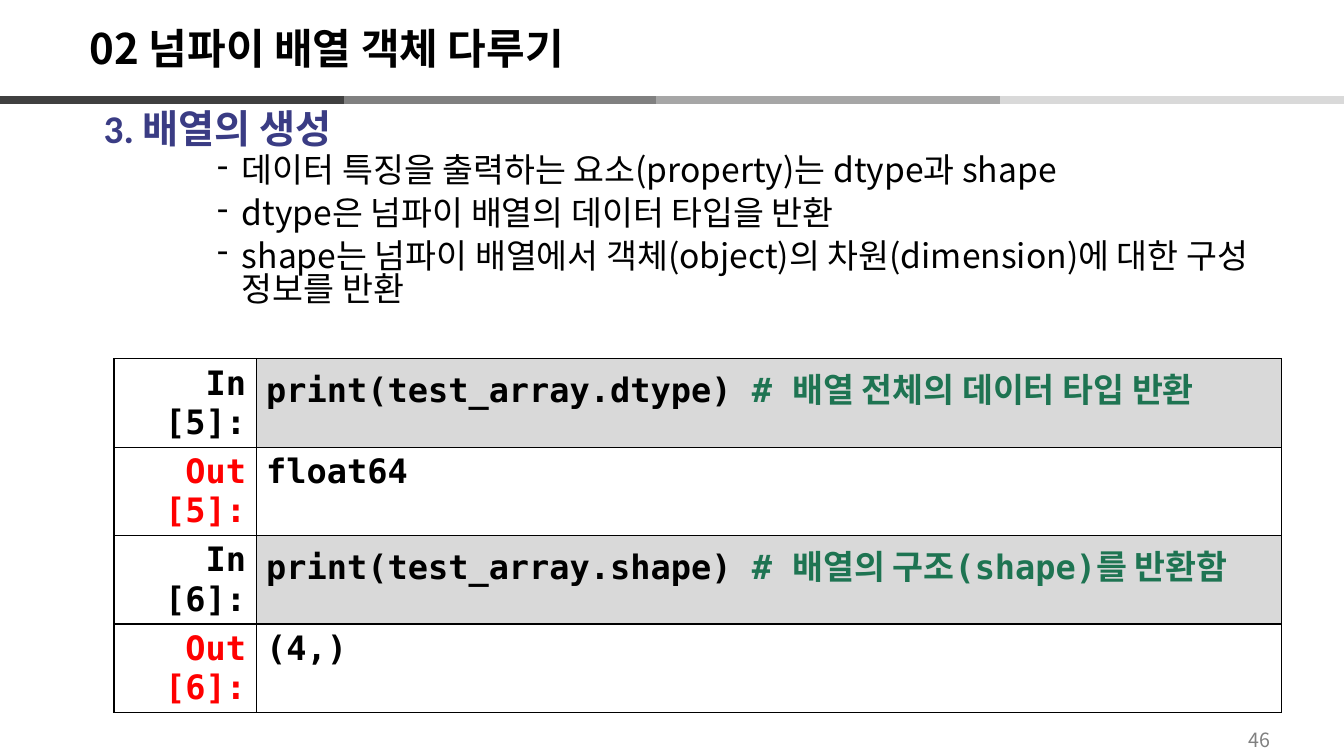
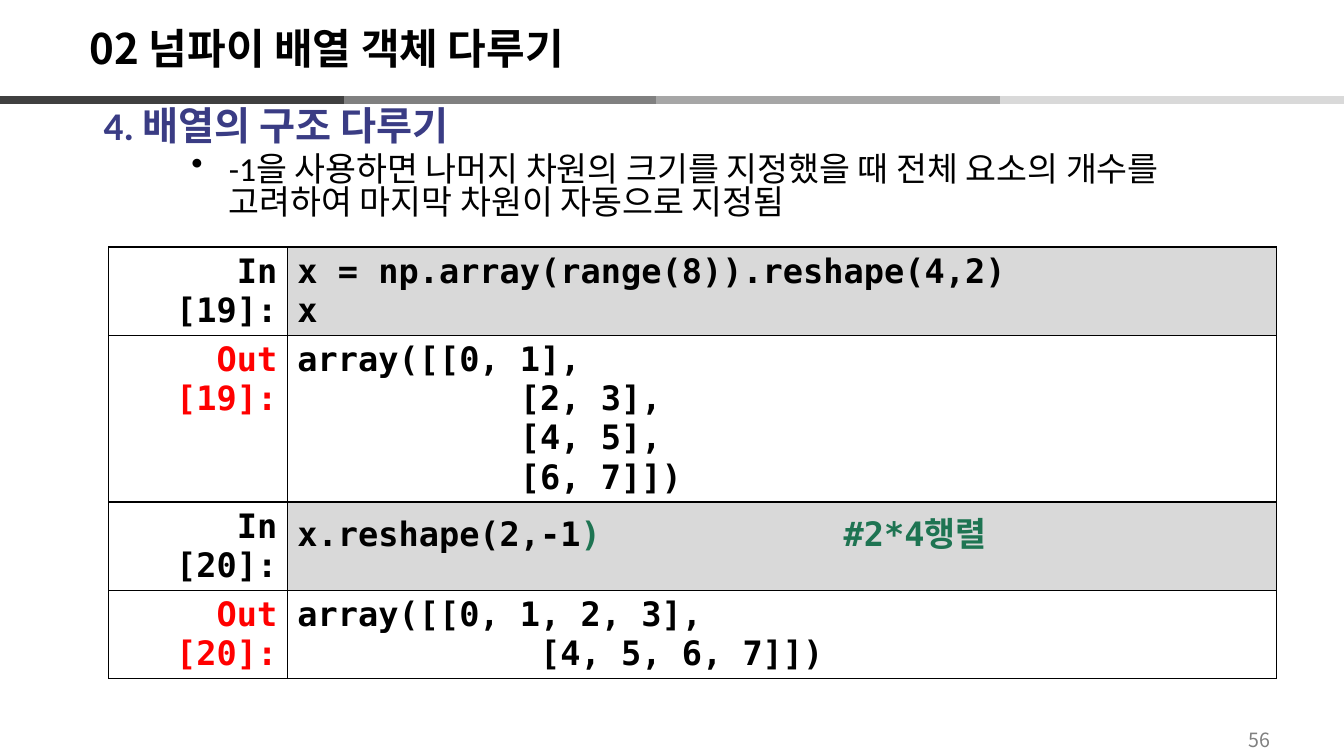
"""Build two lecture slides on array objects with notebook-style code tables."""
from lxml import etree
from pptx import Presentation
from pptx.dml.color import RGBColor
from pptx.enum.shapes import MSO_CONNECTOR
from pptx.enum.text import MSO_ANCHOR, MSO_AUTO_SIZE, PP_ALIGN
from pptx.oxml.ns import qn
from pptx.util import Inches, Pt

WIDTH, HEIGHT = Inches(13.33), Inches(7.5)
TITLE_ONLY = 5
LEFT, RIGHT, CENTER = PP_ALIGN.LEFT, PP_ALIGN.RIGHT, PP_ALIGN.CENTER
TOP, MIDDLE = MSO_ANCHOR.TOP, MSO_ANCHOR.MIDDLE
STRAIGHT, NO_FIT = MSO_CONNECTOR.STRAIGHT, MSO_AUTO_SIZE.NONE

KOREAN, LATIN, MONO = "Noto Sans CJK KR", "Calibri", "DejaVu Sans Mono"
COLORS = {
    "text": "000000", "heading": "3A3C84", "output": "FF0000",
    "comment": "1E7452", "code": "D9D9D9", "number": "808080",
}
BANDS = [(23.26, 48.84, "808080"), (48.84, 74.42, "A6A6A6"),
         (74.42, 100, "D9D9D9"), (0, 25.58, "404040")]
BAND_TOP = 13.2
TITLE = "02 넘파이 배열 객체 다루기"
TABLE_WIDTH = 86.87
LINE_SHARE, CELL_PADDING = 5.18, 1.33


def across(share):
    """Return a percentage of the slide width."""
    return int(WIDTH * share / 100)


def down(share):
    """Return a percentage of the slide height."""
    return int(HEIGHT * share / 100)


def add_span(para, text, size, color, font=KOREAN, bold=False):
    """Append one formatted run to a paragraph."""
    span = para.add_run()
    span.text = text
    span.font.size, span.font.bold, span.font.name = Pt(size), bold, font
    span.font.color.rgb = RGBColor.from_string(COLORS[color])
    etree.SubElement(span.font._element, qn("a:ea"), typeface=KOREAN)


def set_bullet(para, char, margin, indent):
    """Give a paragraph a hanging bullet."""
    properties = para._p.get_or_add_pPr()
    properties.set("marL", str(Inches(margin)))
    properties.set("indent", str(Inches(indent)))
    if char:
        etree.SubElement(properties, qn("a:buChar"), char=char)


def add_box(page, left, top, width, height, anchor=TOP):
    """Add a wrapping text box and return its text frame."""
    box = page.shapes.add_textbox(across(left), down(top), across(width), down(height))
    frame = box.text_frame
    frame.word_wrap, frame.auto_size, frame.vertical_anchor = True, NO_FIT, anchor
    return frame


def add_bands(page):
    """Draw the grey rule below the title."""
    for start, end, color in BANDS:
        band = page.shapes.add_connector(
            STRAIGHT, across(start), down(BAND_TOP), across(end), down(BAND_TOP))
        band.line.width = Pt(6)
        band.line.color.rgb = RGBColor.from_string(color)
        etree.SubElement(band._element.spPr, qn("a:effectLst"))


def add_page(deck, number):
    """Add a slide with the shared title, rule and page number."""
    page = deck.slides.add_slide(deck.slide_layouts[TITLE_ONLY])
    add_bands(page)
    title = page.shapes.title
    title.left, title.top = across(5.93), down(2.67)
    title.width, title.height = across(74.79), down(8)
    frame = title.text_frame
    frame.vertical_anchor, frame.auto_size = MIDDLE, NO_FIT
    para = frame.paragraphs[0]
    para.alignment, para.line_spacing = LEFT, 0.9
    add_span(para, TITLE, 30, "text", bold=True)
    para = add_box(page, 90.17, 95.8, 7.05, 4, MIDDLE).paragraphs[0]
    para.alignment = CENTER
    add_span(para, number, 14, "number")
    return page


def add_body(page, top, heading, spacing, points, bullet, font, before, after):
    """Add a numbered heading followed by bullet points."""
    char, margin, indent = bullet
    frame = add_box(page, 4.13, top, 89.8, 33)
    para = frame.paragraphs[0]
    set_bullet(para, None, 0.38, 0)
    para.line_spacing = spacing
    add_span(para, heading, 28, "heading", LATIN, True)
    for point in points:
        para = frame.add_paragraph()
        set_bullet(para, char, margin, indent)
        para.line_spacing = 0.82
        para.space_before, para.space_after = Pt(before), Pt(after)
        add_span(para, point, 24, "text", font)


def add_borders(cell):
    """Outline a cell with thin black lines."""
    properties = cell._tc.get_or_add_tcPr()
    for place, side in enumerate(("lnL", "lnR", "lnT", "lnB")):
        line = etree.Element(qn(f"a:{side}"), w=str(Pt(1)))
        fill = etree.SubElement(line, qn("a:solidFill"))
        etree.SubElement(fill, qn("a:srgbClr"), val=COLORS["text"])
        properties.insert(place, line)


def fill_cell(cell, lines, alignment, shade=None):
    """Write lines of (text, color) spans into a bordered cell."""
    if shade:
        cell.fill.solid()
        cell.fill.fore_color.rgb = RGBColor.from_string(COLORS[shade])
    else:
        cell.fill.background()
    add_borders(cell)
    frame = cell.text_frame
    for place, spans in enumerate(lines):
        para = frame.add_paragraph() if place else frame.paragraphs[0]
        para.alignment = alignment
        for text, color in spans:
            add_span(para, text, 24, color, MONO, True)


def add_notebook(page, left, top, label_width, entries):
    """Add a table of alternating input and output cells."""
    heights = [LINE_SHARE * max(2, len(lines)) + CELL_PADDING for _, lines in entries]
    table = page.shapes.add_table(
        len(entries), 2, across(left), down(top),
        across(TABLE_WIDTH), down(sum(heights))).table
    table.first_row = table.horz_banding = False
    table.columns[0].width = across(label_width)
    table.columns[1].width = across(TABLE_WIDTH - label_width)
    for row, (label, lines) in enumerate(entries):
        table.rows[row].height = down(heights[row])
        is_input = label.startswith("In")
        label_color = "text" if is_input else "output"
        fill_cell(table.cell(row, 0), [[(label, label_color)]], RIGHT)
        fill_cell(table.cell(row, 1), lines, LEFT, "code" if is_input else None)


def plain(*lines):
    """Turn strings into lines of one black span each."""
    return [[(line, "text")] for line in lines]


def add_creation_page(deck):
    """Build the slide on creating arrays."""
    page = add_page(deck, "46")
    add_body(page, 13, "3. 배열의 생성", 1.02, [
        "데이터 특징을 출력하는 요소(property)는 dtype과 shape",
        "dtype은 넘파이 배열의 데이터 타입을 반환",
        "shape는 넘파이 배열에서 객체(object)의 차원(dimension)에 대한 구성 정보를 반환",
    ], ("‐", 1.75, -0.25), KOREAN, 3.8, 3)
    add_notebook(page, 8.48, 47.47, 10.58, [
        ("In [5]:", [[("print(test_array.dtype) ", "text"),
                      ("# 배열 전체의 데이터 타입 반환", "comment")]]),
        ("Out [5]:", plain("float64")),
        ("In [6]:", [[("print(test_array.shape) ", "text"),
                      ("# 배열의 구조(shape)를 반환함", "comment")]]),
        ("Out [6]:", plain("(4,)")),
    ])


def add_structure_page(deck):
    """Build the slide on reshaping arrays."""
    page = add_page(deck, "56")
    add_body(page, 13.8, "4. 배열의 구조 다루기", 0.82, [
        "-1을 사용하면 나머지 차원의 크기를 지정했을 때 전체 요소의 개수를 "
        "고려하여 마지막 차원이 자동으로 지정됨",
    ], ("•", 1.62, -0.37), LATIN, 4.8, 0)
    add_notebook(page, 8.1, 32.67, 13.28, [
        ("In [19]:", plain("x = np.array(range(8)).reshape(4,2)", "x")),
        ("Out [19]:", plain("array([[0, 1],", "           [2, 3],",
                            "           [4, 5],", "           [6, 7]])")),
        ("In [20]:", [[("x.reshape(2,-1", "text"),
                       (")            #2*4행렬", "comment")]]),
        ("Out [20]:", plain("array([[0, 1, 2, 3],", "            [4, 5, 6, 7]])")),
    ])


def main():
    """Create and save the deck."""
    deck = Presentation()
    deck.slide_width, deck.slide_height = WIDTH, HEIGHT
    add_creation_page(deck)
    add_structure_page(deck)
    deck.save("out.pptx")


if __name__ == "__main__":
    main()
